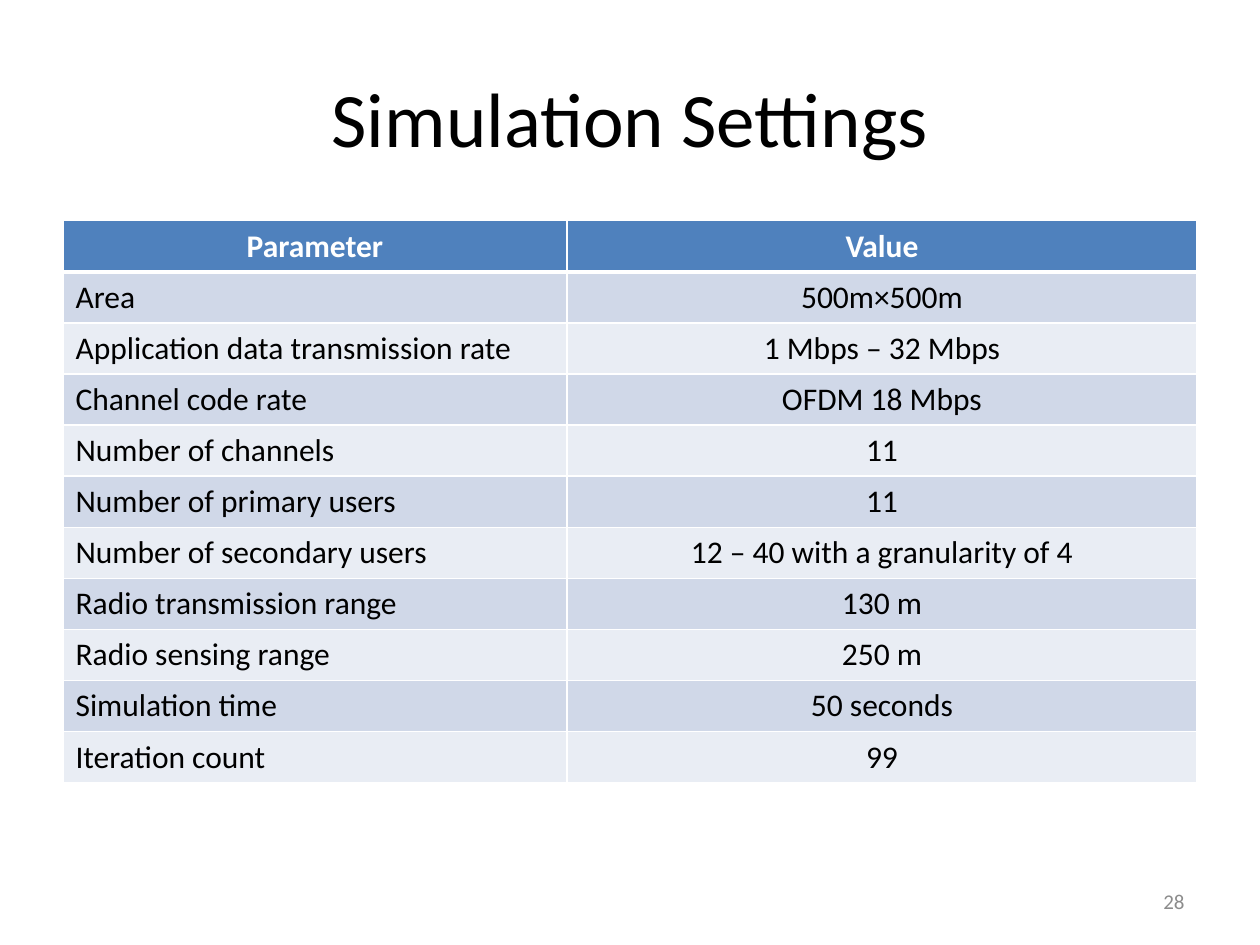
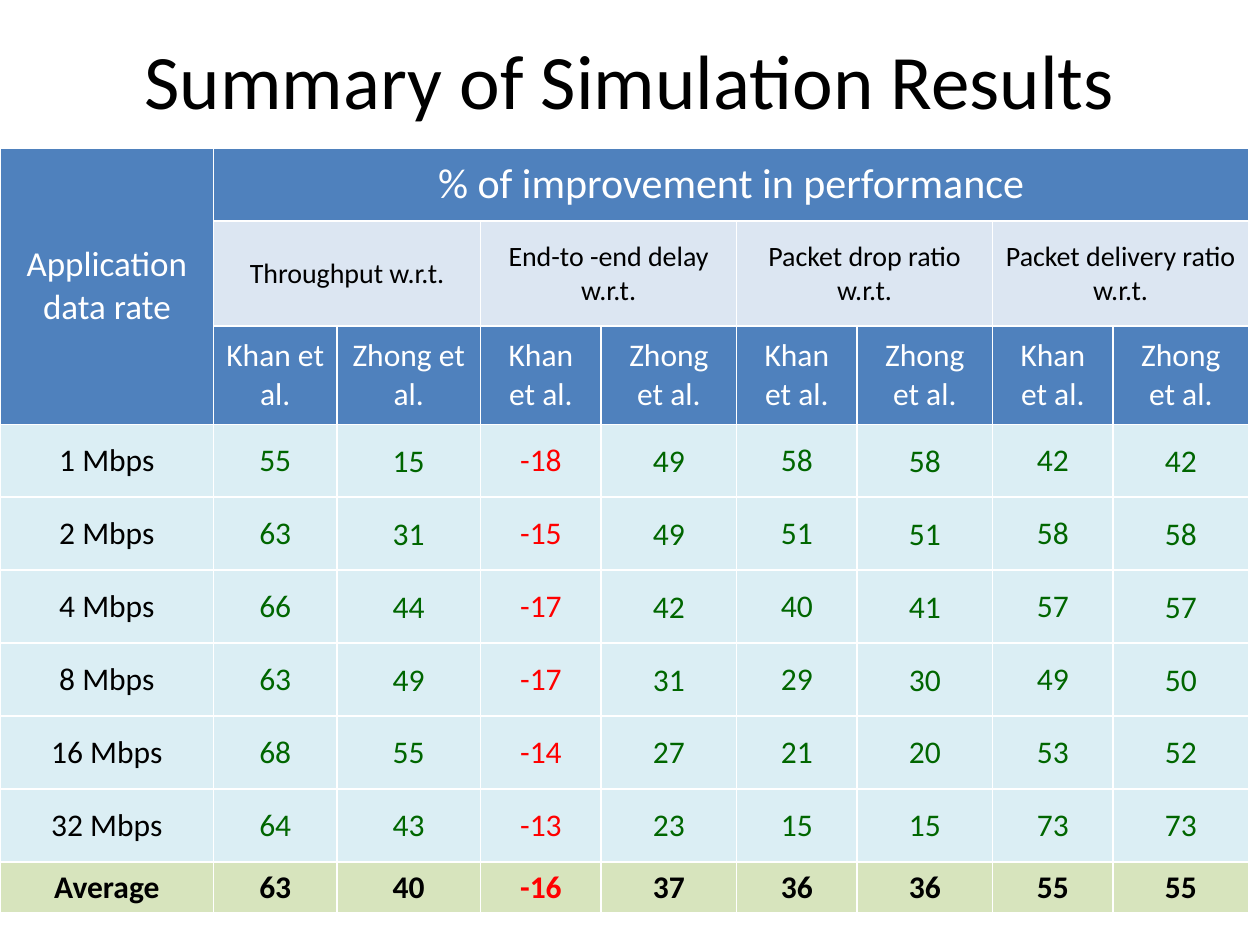
import pptx
import pptx.dml.color
import pptx.enum.text
import pptx.oxml
import pptx.oxml.ns
import pptx.util

Cm = pptx.util.Cm
ALIGN = pptx.enum.text.PP_ALIGN
MIDDLE = pptx.enum.text.MSO_ANCHOR.MIDDLE
TOP = pptx.enum.text.MSO_ANCHOR.TOP

COLORS = {
    "ink": "000000",
    "white": "FFFFFF",
    "page": "8C8C8C",
    "header": "4F81BD",
    "band_dark": "D0D8E8",
    "band_light": "E9EDF4",
    "metric": "DCE6F2",
    "result": "DBEEF4",
    "average": "D7E4BD",
    "gain": "006600",
    "loss": "FF0000",
}
TIGHT = {"margin_left": Cm(0.03), "margin_right": Cm(0.03),
         "margin_top": Cm(0.03), "margin_bottom": Cm(0)}

SETTINGS = [
    ("Area", "500m×500m"),
    ("Application data transmission rate", "1 Mbps – 32 Mbps"),
    ("Channel code rate", "OFDM 18 Mbps"),
    ("Number of channels", "11"),
    ("Number of primary users", "11"),
    ("Number of secondary users", "12 – 40 with a granularity of 4"),
    ("Radio transmission range", "130 m"),
    ("Radio sensing range", "250 m"),
    ("Simulation time", "50 seconds"),
    ("Iteration count", "99"),
]
METRICS = ["Throughput w.r.t.", "End-to -end delay w.r.t.",
           "Packet drop ratio w.r.t.", "Packet delivery ratio w.r.t."]
BASELINES = ["Khan et al.", "Zhong et al."]
RESULTS = [
    ("1 Mbps", 55, 15, -18, 49, 58, 58, 42, 42),
    ("2 Mbps", 63, 31, -15, 49, 51, 51, 58, 58),
    ("4 Mbps", 66, 44, -17, 42, 40, 41, 57, 57),
    ("8 Mbps", 63, 49, -17, 31, 29, 30, 49, 50),
    ("16 Mbps", 68, 55, -14, 27, 21, 20, 53, 52),
    ("32 Mbps", 64, 43, -13, 23, 15, 15, 73, 73),
    ("Average", 63, 40, -16, 37, 36, 36, 55, 55),
]


class Deck:
    font = "Calibri"

    def __init__(self):
        self.show = pptx.Presentation()
        self.show.slide_width, self.show.slide_height = Cm(25.4), Cm(19.05)
        self.slide = None

    def label(self, frame, text, size, color="ink", align=ALIGN.CENTER, bold=False):
        paragraph = frame.paragraphs[0]
        paragraph.alignment = align
        run = paragraph.add_run()
        run.text = text
        looks = {"name": self.font, "size": pptx.util.Pt(size), "bold": bold}
        for key, value in looks.items():
            setattr(run.font, key, value)
        run.font.color.rgb = pptx.dml.color.RGBColor.from_string(COLORS[color])

    def titled_slide(self, text, top):
        self.slide = self.show.slides.add_slide(self.show.slide_layouts[5])
        title = self.slide.shapes.title
        place = {"left": Cm(1.27), "top": Cm(top), "width": Cm(22.86), "height": Cm(3.18)}
        for key, value in place.items():
            setattr(title, key, value)
        title.text_frame.vertical_anchor = MIDDLE
        self.label(title.text_frame, text, 44)

    def page_number(self, number):
        corner = self.slide.shapes.add_textbox(Cm(18.2), Cm(17.66), Cm(5.93), Cm(1.01))
        frame = corner.text_frame
        frame.word_wrap = True
        frame.vertical_anchor = MIDDLE
        self.label(frame, str(number), 12, "page", ALIGN.RIGHT)

    def table(self, left, top, widths, heights):
        grid = self.slide.shapes.add_table(
            len(heights), len(widths), Cm(left), Cm(top),
            Cm(sum(widths)), Cm(sum(heights))).table
        grid.first_row = grid.horz_banding = False
        for column, width in zip(grid.columns, widths):
            column.width = Cm(width)
        for row, height in zip(grid.rows, heights):
            row.height = Cm(height)
        return grid

    def cell(self, cell, fill, text="", size=18, color="ink", align=ALIGN.CENTER,
             bold=False, anchor=MIDDLE, margins=None, edges=None):
        cell.vertical_anchor = anchor
        for key, value in (margins or {}).items():
            setattr(cell, key, value)
        properties = cell._tc.get_or_add_tcPr()
        for side in "LRTB":
            width = pptx.util.Pt((edges or {}).get(side, 1))
            properties.append(pptx.oxml.parse_xml(
                f'<a:ln{side} {pptx.oxml.ns.nsdecls("a")} w="{width}"><a:solidFill>'
                f'<a:srgbClr val="{COLORS["white"]}"/></a:solidFill></a:ln{side}>'))
        cell.fill.solid()
        cell.fill.fore_color.rgb = pptx.dml.color.RGBColor.from_string(COLORS[fill])
        if text:
            self.label(cell.text_frame, text, size, color, align, bold)


def settings_slide(deck):
    deck.titled_slide("Simulation Settings", 0.76)
    deck.page_number(28)
    settings = deck.table(1.27, 4.45, [10.16, 12.7], [1.03] * (len(SETTINGS) + 1))
    for col, heading in enumerate(["Parameter", "Value"]):
        deck.cell(settings.cell(0, col), "header", heading, color="white",
                  bold=True, anchor=TOP, edges={"B": 3})
    for row, setting in enumerate(SETTINGS, 1):
        band = "band_dark" if row % 2 else "band_light"
        edges = {"T": 3} if row == 1 else None
        for col, align in enumerate([ALIGN.LEFT, ALIGN.CENTER]):
            deck.cell(settings.cell(row, col), band, setting[col],
                      align=align, anchor=TOP, edges=edges)


def results_slide(deck):
    deck.titled_slide("Summary of Simulation Results", 0)
    results = deck.table(0, 2.98, [4.31, 2.48, 2.9] + [2.43, 2.73] * 3,
                         [1.48, 2.11, 1.85] + [1.47] * 6 + [0.9])
    results.cell(0, 0).merge(results.cell(2, 0))
    results.cell(0, 1).merge(results.cell(0, 8))
    for row in range(3):
        deck.cell(results.cell(row, 0), "header",
                  "" if row else "Application data rate", 20, "white")
    for col in range(1, 9):
        first = col % 2 == 1
        deck.cell(results.cell(0, col), "header",
                  "% of improvement in performance" if col == 1 else "", 24, "white")
        if first:
            results.cell(1, col).merge(results.cell(1, col + 1))
        deck.cell(results.cell(1, col), "metric",
                  METRICS[col // 2] if first else "", 16)
        deck.cell(results.cell(2, col), "header", BASELINES[(col - 1) % 2], color="white")
    for row, (rate, *gains) in enumerate(RESULTS, 3):
        average = rate == "Average"
        fill = "average" if average else "result"
        deck.cell(results.cell(row, 0), fill, rate, bold=average)
        for col, gain in enumerate(gains, 1):
            color = "loss" if gain < 0 else "ink" if average else "gain"
            tight = col == 8 if average else col % 2 == 0
            deck.cell(results.cell(row, col), fill, str(gain), color=color,
                      bold=average, margins=TIGHT if tight else None)


def main():
    deck = Deck()
    settings_slide(deck)
    results_slide(deck)
    deck.show.save("out.pptx")


if __name__ == "__main__":
    main()
